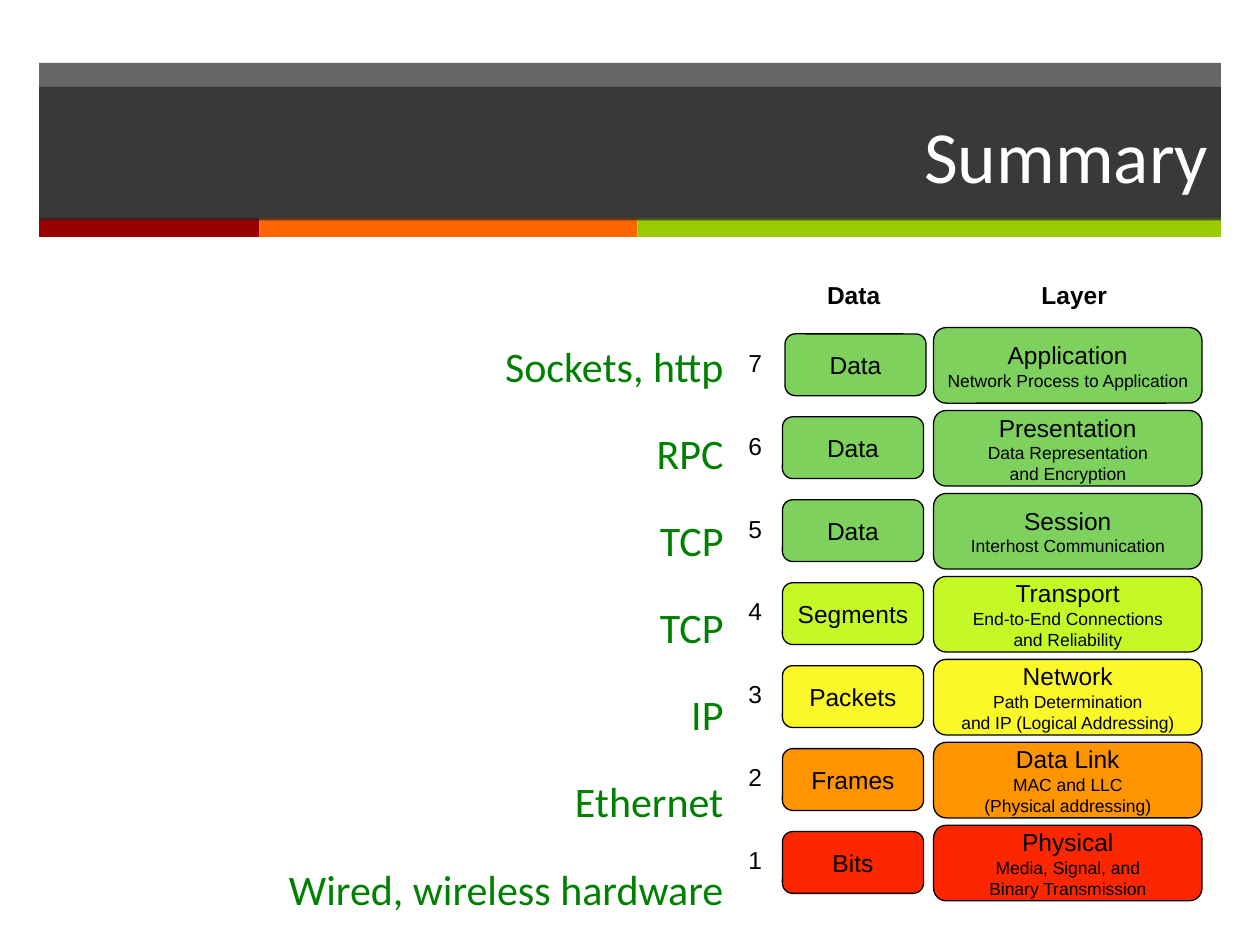
from lxml import etree
from pptx import Presentation
from pptx.dml.color import RGBColor
from pptx.enum.shapes import MSO_SHAPE as SHAPE
from pptx.enum.text import MSO_ANCHOR as ANCHOR, PP_ALIGN as ALIGN
from pptx.oxml.ns import qn
from pptx.util import Inches, Pt

BLACK = RGBColor(0x00, 0x00, 0x00)
WHITE = RGBColor(0xFF, 0xFF, 0xFF)
CHARCOAL = RGBColor(0x26, 0x26, 0x26)
DARK_RED = RGBColor(0x99, 0x00, 0x00)
BAND_ORANGE = RGBColor(0xFF, 0x66, 0x00)
LIME = RGBColor(0x99, 0xCC, 0x00)
TEXT_GREEN = RGBColor(0x00, 0x80, 0x00)
GREEN = RGBColor(0x7F, 0xD1, 0x5E)
YELLOW_GREEN = RGBColor(0xC4, 0xF9, 0x26)
YELLOW = RGBColor(0xFB, 0xF8, 0x2A)
ORANGE = RGBColor(0xFE, 0x95, 0x00)
RED = RGBColor(0xFC, 0x26, 0x00)

# Content
TITLE = "Summary"
PROTOCOLS = ["Sockets, http", "RPC", "TCP", "TCP", "IP", "Ethernet",
             "Wired, wireless hardware"]
STRIPES = [(3 - 1.25, DARK_RED), (3, BAND_ORANGE), (4.63, LIME)]  # width, colour
HEADERS = [("Data", 6.23, 1.09), ("Layer", 7.52, 2.01)]  # text, left, width
LAYERS = [  # data unit, layer name, description lines, colour
    ("Data", "Application", ["Network Process to Application"], GREEN),
    ("Data", "Presentation", ["Data Representation", "and Encryption"], GREEN),
    ("Data", "Session", ["Interhost Communication"], GREEN),
    ("Segments", "Transport", ["End-to-End Connections", "and Reliability"], YELLOW_GREEN),
    ("Packets", "Network", ["Path Determination", "and IP (Logical Addressing)"], YELLOW),
    ("Frames", "Data Link", ["MAC and LLC", "(Physical addressing)"], ORANGE),
    ("Bits", "Physical", ["Media, Signal, and", "Binary Transmission"], RED),
]
ROW_TOP, ROW_PITCH = 2.6, 3.95 / 6

prs = Presentation()
prs.slide_width, prs.slide_height = Inches(10), Inches(7.5)
s = prs.slides.add_slide(prs.slide_layouts[6])


def add_box(kind, left, top, width, height, color, alpha=None, outlined=False):
    sp = s.shapes.add_shape(kind, Inches(left), Inches(top), Inches(width), Inches(height))
    sp.shadow.inherit = False
    sp.fill.solid()
    sp.fill.fore_color.rgb = color
    if alpha:
        clr = sp.fill._xPr.find(qn("a:solidFill"))[0]
        etree.SubElement(clr, qn("a:alpha")).set("val", str(alpha * 1000))
    if outlined:
        sp.line.color.rgb = BLACK
        sp.line.width = Pt(0.75)
    else:
        sp.line.fill.background()
    return sp


def add_text(left, top, width, height):
    return s.shapes.add_textbox(Inches(left), Inches(top), Inches(width), Inches(height))


def write(sp, lines, align, color=BLACK, font="Arial", wrap=True, bold=False,
          anchor=ANCHOR.TOP, gap=0):
    """Write (text, size) pairs, one paragraph each."""
    tf = sp.text_frame
    tf.word_wrap = wrap
    tf.vertical_anchor = anchor
    for i, (text, size) in enumerate(lines):
        p = tf.add_paragraph() if i else tf.paragraphs[0]
        p.alignment = align
        if i and gap:
            p.space_before = Pt(gap)
        r = p.add_run()
        r.text = text
        r.font.name, r.font.size, r.font.bold = font, Pt(size), bold
        r.font.color.rgb = color


# Title band with coloured stripes
add_box(SHAPE.RECTANGLE, 0.31, 0.5, 9.38, 1.24, CHARCOAL, alpha=70)
left = 0.31
for width, color in STRIPES:
    add_box(SHAPE.RECTANGLE, left, 1.73, width, 0.15, color)
    left += width
title = add_box(SHAPE.RECTANGLE, 0.31, 0.69, 9.38, 1.06, CHARCOAL, alpha=70)
write(title, [(TITLE, 42)], ALIGN.RIGHT, WHITE, "Calibri", anchor=ANCHOR.MIDDLE)

# Protocol examples
write(add_text(0.45, 2.65, 5.39, 4.5), [(name, 24) for name in PROTOCOLS],
      ALIGN.RIGHT, TEXT_GREEN, "Calibri", gap=21)

# Column headers
for text, left, width in HEADERS:
    write(add_text(left, 2.17, width, 0.34), [(text, 14)], ALIGN.CENTER, bold=True)

# Layer stack: number, data unit, layer
for i, (unit, name, details, color) in enumerate(LAYERS):
    top = ROW_TOP + i * ROW_PITCH
    write(add_text(5.84, top + 0.11, 0.31, 0.33), [(str(len(LAYERS) - i), 14)], ALIGN.LEFT)
    unit_left = 6.21 if i else 6.23
    unit_box = add_box(SHAPE.ROUNDED_RECTANGLE, unit_left, top + 0.05, 1.12, 0.49,
                       color, outlined=True)
    layer_box = add_box(SHAPE.ROUNDED_RECTANGLE, 7.41, top, 2.13, 0.6, color, outlined=True)
    layer_lines = [(name, 14)] + [(line, 10) for line in details]
    for sp, lines in ((unit_box, [(unit, 14)]), (layer_box, layer_lines)):
        write(sp, lines, ALIGN.CENTER, wrap=False, anchor=ANCHOR.MIDDLE)

prs.save("out.pptx")
